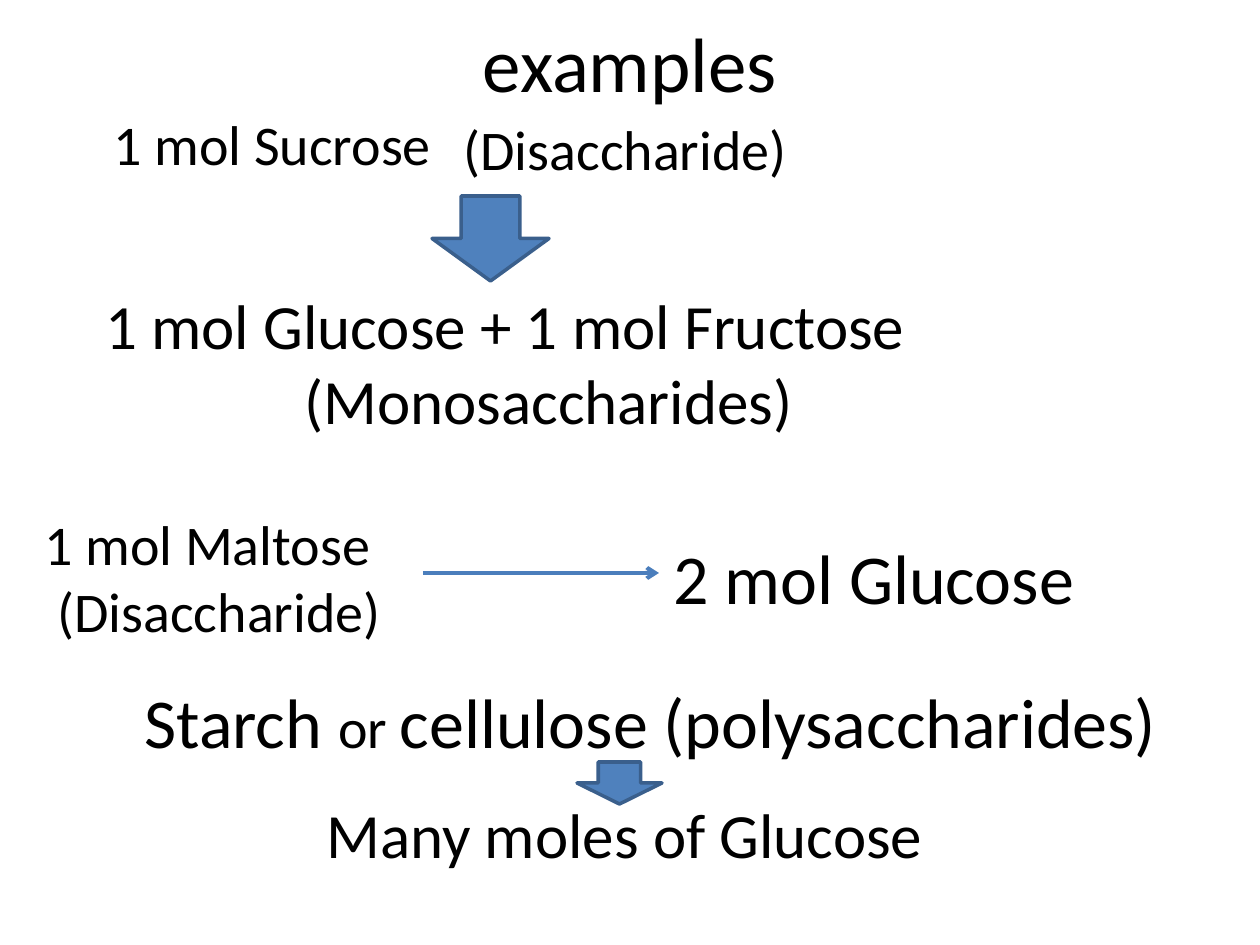
from lxml.etree import SubElement
from pptx import Presentation
from pptx.dml.color import RGBColor
from pptx.enum.shapes import MSO_CONNECTOR, MSO_SHAPE
from pptx.enum.text import MSO_ANCHOR, PP_ALIGN
from pptx.oxml.ns import qn
from pptx.util import Pt

EMU_PER_PX = 914400 / 126


def px(length):
    return round(length * EMU_PER_PX)


def color(value):
    return RGBColor.from_string(value)


def add_text(paragraph, text, font="Calibri", size=32, fill="000000"):
    run = paragraph.add_run()
    run.text = text
    run.font.name = font
    run.font.size = Pt(size)
    run.font.color.rgb = color(fill)


class SlideBuilder:
    fill = "4F81BD"
    outline = "3A5F8C"
    line = "4B7EBC"

    def __init__(self, slide):
        self.slide = slide

    def text_box(self, left, top, width, height, *lines, size=32, indent=0,
                 align=PP_ALIGN.LEFT, anchor=MSO_ANCHOR.TOP):
        shape = self.slide.shapes.add_textbox(px(left), px(top), px(width), px(height))
        frame = shape.text_frame
        frame.word_wrap = True
        frame.vertical_anchor = anchor
        for index, line in enumerate(lines):
            paragraph = frame.add_paragraph() if index else frame.paragraphs[0]
            paragraph.alignment = align
            if index and indent:
                paragraph._p.get_or_add_pPr().set("marL", str(px(indent)))
            runs = [(line, size)] if isinstance(line, str) else line
            for text, run_size in runs:
                add_text(paragraph, text, size=run_size)

    def down_arrow(self, left, top, width, height):
        shape = self.slide.shapes.add_shape(
            MSO_SHAPE.DOWN_ARROW, px(left), px(top), px(width), px(height))
        shape.shadow.inherit = False
        shape.fill.solid()
        shape.fill.fore_color.rgb = color(self.fill)
        shape.line.color.rgb = color(self.outline)
        shape.line.width = Pt(2)

    def arrow(self, start_x, start_y, end_x, end_y):
        connector = self.slide.shapes.add_connector(
            MSO_CONNECTOR.STRAIGHT, px(start_x), px(start_y), px(end_x), px(end_y))
        connector.line.color.rgb = color(self.line)
        connector.line.width = Pt(2.25)
        SubElement(connector.line._get_or_add_ln(), qn("a:tailEnd"), type="arrow")
        SubElement(connector._element.spPr, qn("a:effectLst"))


def main():
    presentation = Presentation()
    presentation.slide_width = px(1260)
    presentation.slide_height = px(945)
    builder = SlideBuilder(presentation.slides.add_slide(presentation.slide_layouts[6]))

    builder.text_box(63, 2, 1134, 120, "examples", size=44,
                     align=PP_ALIGN.CENTER, anchor=MSO_ANCHOR.MIDDLE)

    builder.text_box(101, 103, 350, 81, "1 mol Sucrose")
    builder.text_box(451, 108, 353, 81, "(Disaccharide)")
    builder.down_arrow(432, 196, 117, 85)
    builder.text_box(93, 280, 833, 165, "1 mol Glucose + 1 mol Fructose",
                     "(Monosaccharides)", size=36, indent=199)

    builder.text_box(32, 503, 366, 149, "1 mol Maltose", "(Disaccharide)", indent=13)
    builder.arrow(423, 573, 659, 573)
    builder.text_box(661, 528, 430, 97, "2 mol Glucose", size=40)

    builder.text_box(132, 672, 1047, 97,
                     [("Starch ", 40), ("or ", 32), ("cellulose (polysaccharides)", 40)])
    builder.text_box(314, 789, 627, 89, "Many moles of Glucose", size=36)
    builder.down_arrow(577, 762, 85, 42)

    presentation.save("out.pptx")


if __name__ == "__main__":
    main()
